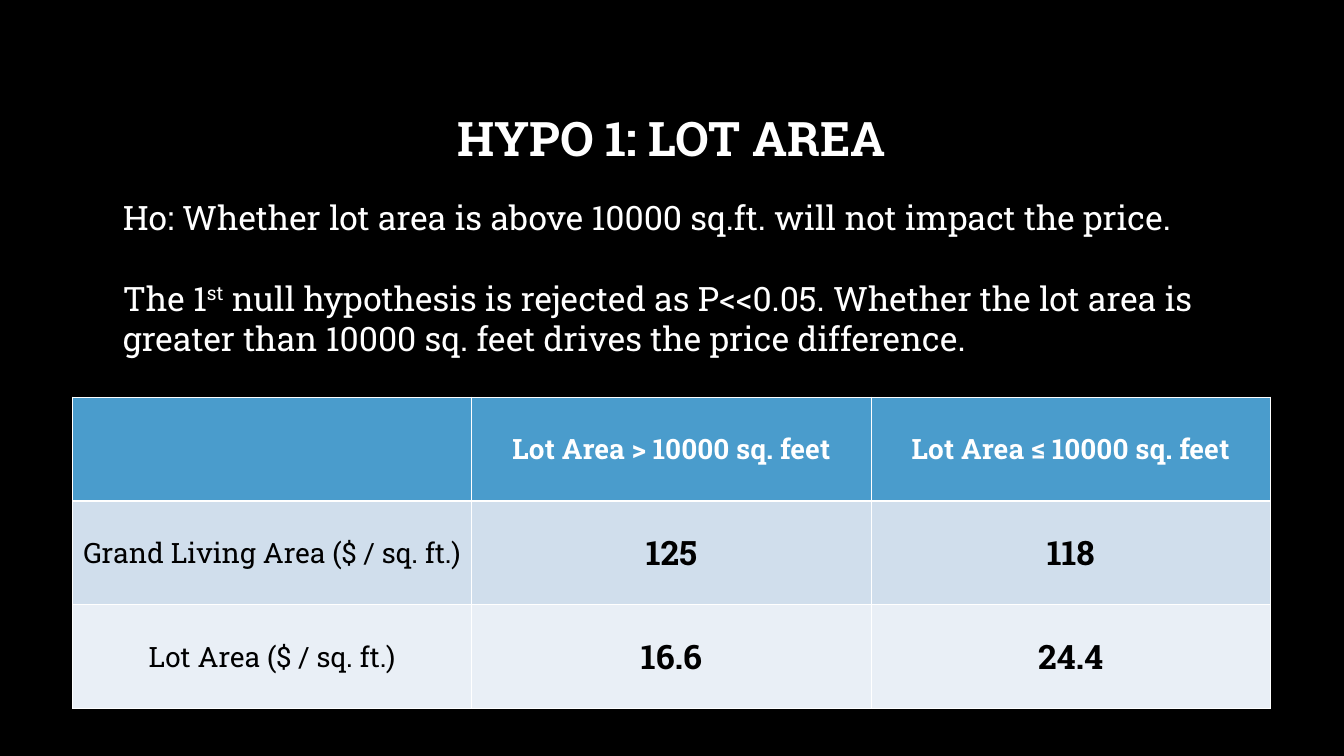
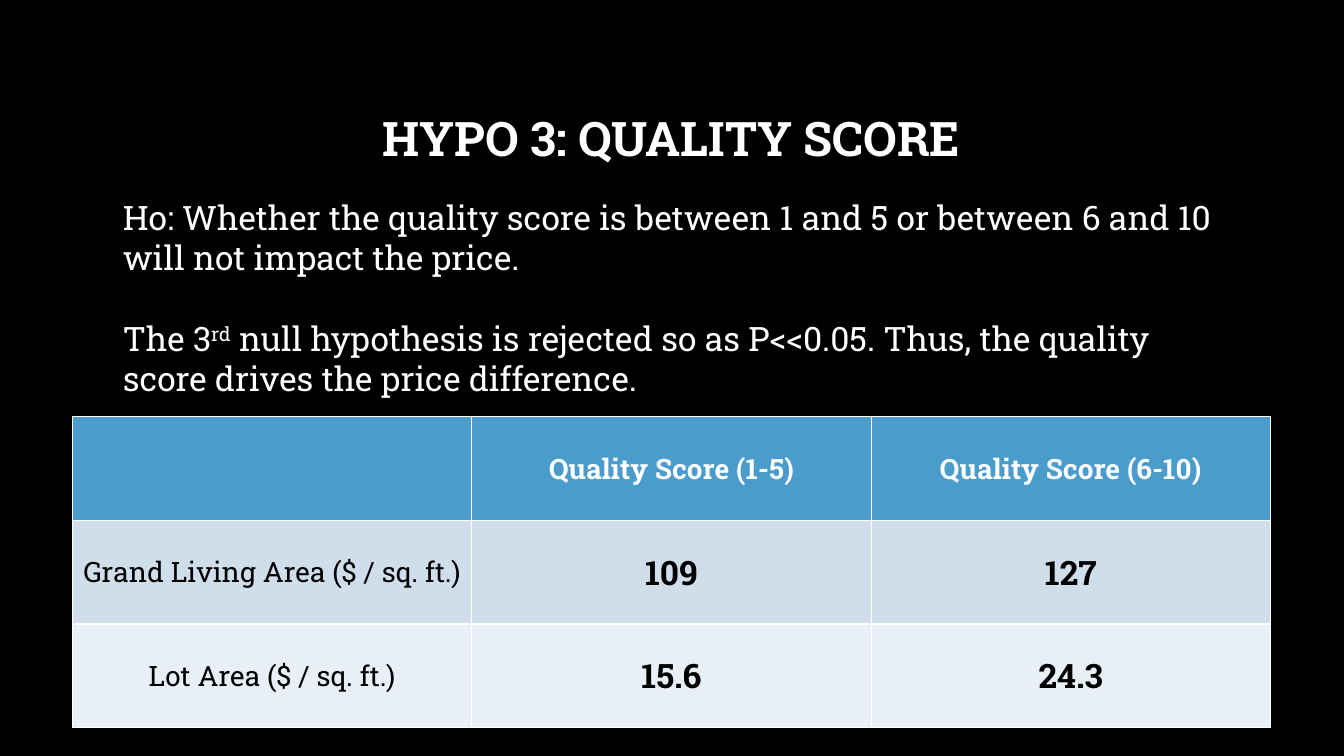
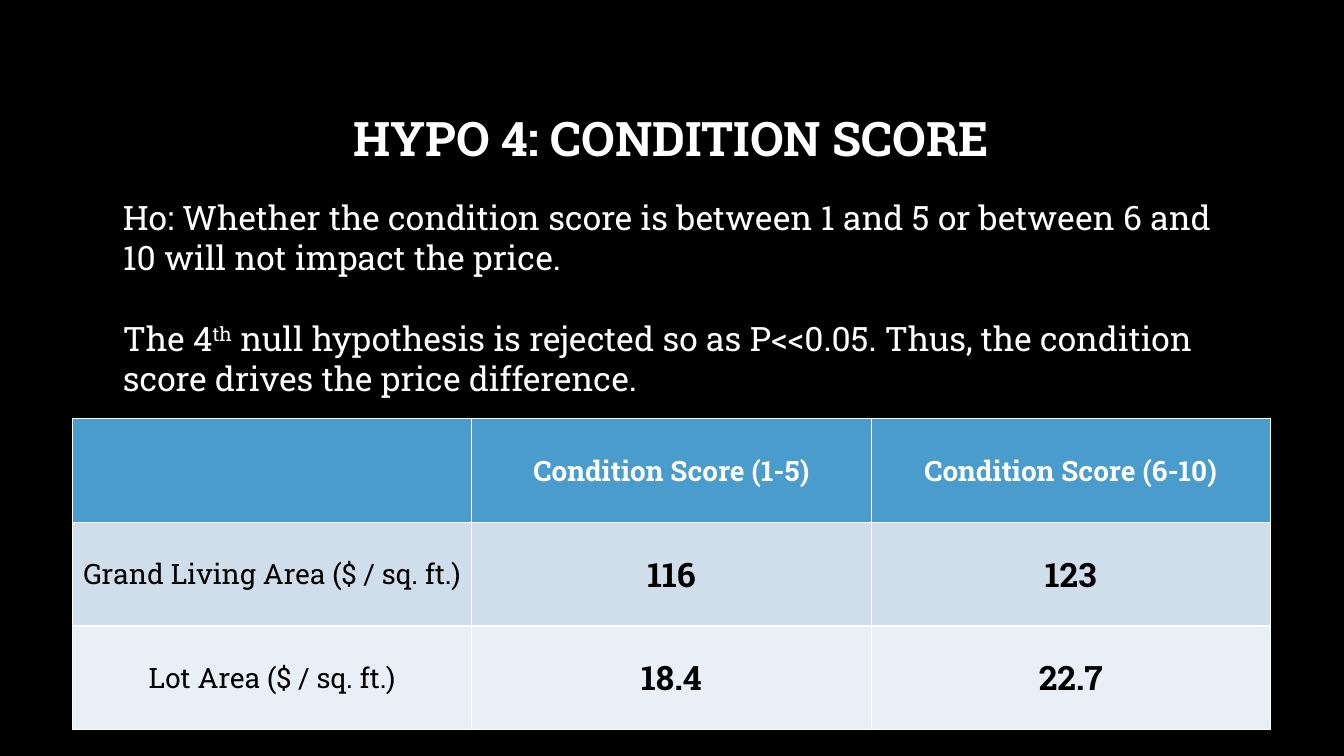
from pptx import Presentation
from pptx.dml.color import RGBColor
from pptx.enum.text import MSO_ANCHOR, MSO_AUTO_SIZE, PP_ALIGN
from pptx.util import Inches, Pt

CENTER = PP_ALIGN.CENTER
MIDDLE = MSO_ANCHOR.MIDDLE
GROW = MSO_AUTO_SIZE.SHAPE_TO_FIT_TEXT

FONT = "Roboto Slab"
BLACK, WHITE = "000000", "FFFFFF"
FILLS = ["4A9CCC", "D0DEEC", "E9EFF6"]
LABELS = ["Grand Living Area ($ / sq. ft.)", "Lot Area ($ / sq. ft.)"]
COL, ROW = 3.96, 1.03

TITLE = {"size": Pt(34), "bold": True}
BODY = {"size": Pt(24)}
HEAD = {"size": Pt(20), "bold": True}
LABEL = {"size": Pt(20), "bold": False}
VALUE = {"size": Pt(24), "bold": True}

TESTS = [
    {
        "title": "HYPO 1: LOT AREA",
        "null": "Ho: Whether lot area is above 10000 sq.ft. will not impact the price.",
        "result": ("The 1", "st", " null hypothesis is rejected as P<<0.05. Whether the lot area"
                   " is greater than 10000 sq. feet drives the price difference."),
        "heads": ["Lot Area > 10000 sq. feet", "Lot Area ≤ 10000 sq. feet"],
        "values": [["125", "118"], ["16.6", "24.4"]],
        "top": 3.94,
        "height": 1.72,
    },
    {
        "title": "HYPO 3: QUALITY SCORE",
        "null": "Ho: Whether the quality score is between 1 and 5 or between 6 and 10"
                " will not impact the price.",
        "result": ("The 3", "rd", " null hypothesis is rejected so as P<<0.05. Thus, the quality"
                   " score drives the price difference."),
        "heads": ["Quality Score (1-5)", "Quality Score (6-10)"],
        "values": [["109", "127"], ["15.6", "24.3"]],
        "top": 4.13,
        "height": 2.12,
    },
    {
        "title": "HYPO 4: CONDITION SCORE",
        "null": "Ho: Whether the condition score is between 1 and 5 or between 6 and 10"
                " will not impact the price.",
        "result": ("The 4", "th", " null hypothesis is rejected so as P<<0.05. Thus, the condition"
                   " score drives the price difference."),
        "heads": ["Condition Score (1-5)", "Condition Score (6-10)"],
        "values": [["116", "123"], ["18.4", "22.7"]],
        "top": 4.15,
        "height": 2.12,
    },
]


def paint(fill, color):
    fill.solid()
    fill.fore_color.rgb = RGBColor.from_string(color)


def add_run(para, text, style, color=WHITE):
    run = para.add_run()
    run.text = text
    run.font.name = FONT
    for key, value in style.items():
        setattr(run.font, key, value)
    paint(run.font.fill, color)
    return run


def add_box(slide, *place):
    frame = slide.shapes.add_textbox(*map(Inches, place)).text_frame
    frame.word_wrap = True
    return frame


def add_title(slide, text):
    frame = add_box(slide, 1, 0.67, 11.32, 1.45)
    frame.vertical_anchor = MIDDLE
    para = frame.paragraphs[0]
    para.alignment = CENTER
    para.line_spacing = 0.9
    add_run(para, text, TITLE)


def add_body(slide, null, result, height):
    frame = add_box(slide, 1.12, 1.9, 11.08, height)
    frame.auto_size = GROW
    add_run(frame.paragraphs[0], null, BODY)
    para = frame.add_paragraph()
    para.space_before = Pt(29)
    start, suffix, rest = result
    add_run(para, start, BODY)
    raised = add_run(para, suffix, BODY)
    raised.font._element.set("baseline", "30000")
    add_run(para, rest, BODY)


def add_grid(slide, heads, values, top):
    rows = [["", *heads]] + [[name, *nums] for name, nums in zip(LABELS, values)]
    count, width = len(rows), len(rows[0])
    table = slide.shapes.add_table(count, width, Inches(0.72), Inches(top),
                                   Inches(COL * width), Inches(ROW * count)).table
    for r, texts in enumerate(rows):
        for c, text in enumerate(texts):
            cell = table.cell(r, c)
            paint(cell.fill, FILLS[r])
            cell.vertical_anchor = MIDDLE
            if not text:
                continue
            para = cell.text_frame.paragraphs[0]
            para.alignment = CENTER
            style = HEAD if r == 0 else LABEL if c == 0 else VALUE
            add_run(para, text, style, BLACK if r else WHITE)


def main():
    prs = Presentation()
    prs.slide_width, prs.slide_height = Inches(13.33), Inches(7.5)
    paint(prs.slide_master.background.fill, BLACK)
    for test in TESTS:
        slide = prs.slides.add_slide(prs.slide_layouts[6])
        add_title(slide, test["title"])
        add_grid(slide, test["heads"], test["values"], test["top"])
        add_body(slide, test["null"], test["result"], test["height"])
    prs.save("out.pptx")


if __name__ == "__main__":
    main()
